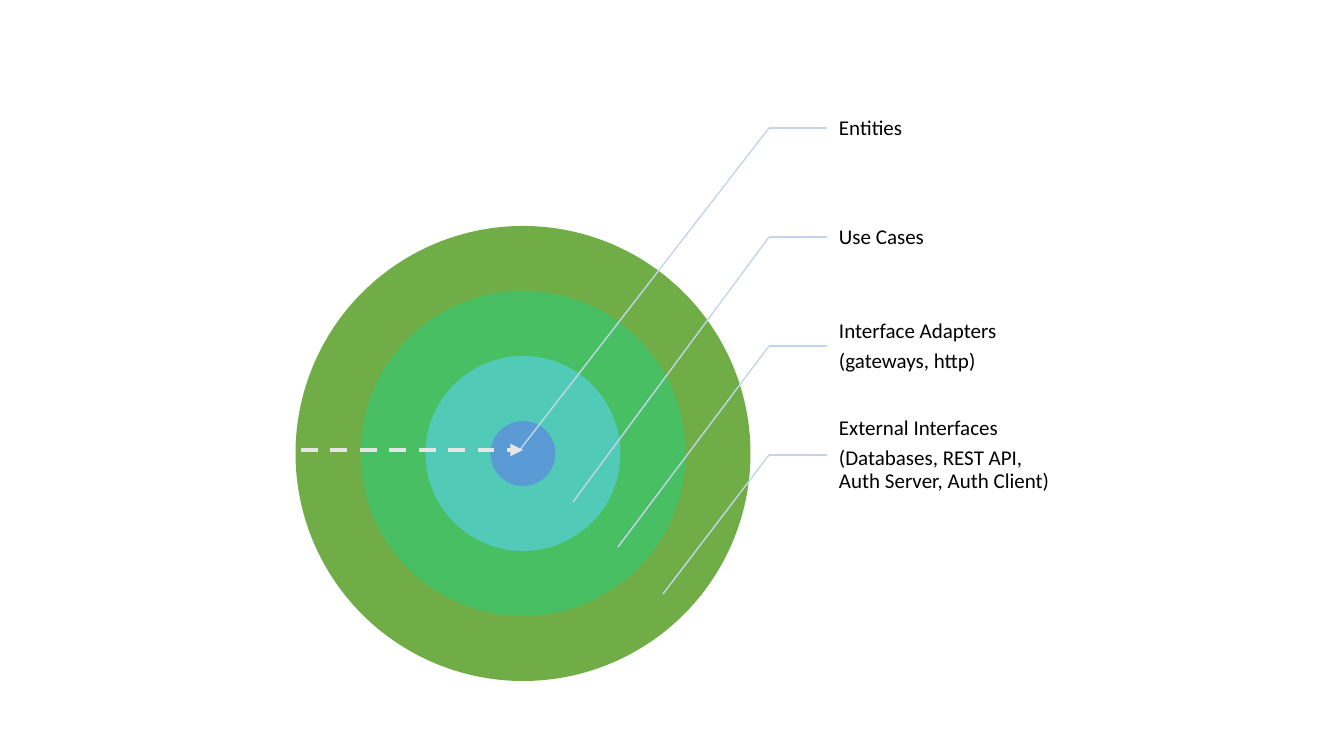
from pptx import Presentation
from pptx import util as u
from pptx.dml.color import RGBColor
from pptx.enum import dml, shapes, text
from pptx.oxml.ns import qn
from lxml import etree

PX = 914400 / 100.8


def px(*vals):
    return [round(v * PX) for v in vals]


def link(x1, y1, x2, y2, color, width):
    line = slide.shapes.add_connector(
        shapes.MSO_CONNECTOR.STRAIGHT, *px(x1, y1, x2, y2))
    line.line.color.rgb = RGBColor.from_string(color)
    line.line.width = u.Pt(width)
    etree.SubElement(line._element.spPr, qn("a:effectLst"))
    return line


deck = Presentation()
deck.slide_width, deck.slide_height = u.Inches(13.333), u.Inches(7.5)
slide = deck.slides.add_slide(deck.slide_layouts[6])

mid_x, mid_y, core = 523, 453.5, 65
rings = ["70AD47", "49BF64", "52CAB8", "5B9BD5"]
for i, color in enumerate(rings):
    size = core * (7 - 2 * i)
    ring = slide.shapes.add_shape(
        shapes.MSO_SHAPE.OVAL,
        *px(mid_x - size / 2, mid_y - size / 2, size, size))
    ring.shadow.inherit = False
    ring.fill.solid()
    ring.fill.fore_color.rgb = RGBColor.from_string(color)
    ring.line.fill.background()

labels = [
    (["Entities"], 519, 451),
    (["Use Cases"], 573, 502),
    (["Interface Adapters", "(gateways, http)"], 618, 547),
    (["External Interfaces",
      "(Databases, REST API, Auth Server, Auth Client)"], 663, 594),
]
frame_style = {
    "word_wrap": True, "vertical_anchor": text.MSO_ANCHOR.MIDDLE,
    "margin_left": px(12)[0], "margin_right": px(2)[0],
    "margin_top": px(2)[0], "margin_bottom": px(2)[0],
}
para_style = {"line_spacing": 0.9, "space_after": u.Pt(5.25)}
font_style = {"name": "Calibri", "size": u.Pt(15)}
bend, left, pitch = 769, 827, 109
for i, (lines, end_x, end_y) in enumerate(labels):
    top = 74 + pitch * i
    level = 128 + pitch * i
    frame = slide.shapes.add_textbox(*px(left, top, 228, pitch)).text_frame
    frame.text = "\n".join(lines)
    for key, val in frame_style.items():
        setattr(frame, key, val)
    for para in frame.paragraphs:
        font = para.runs[0].font
        font.color.rgb = RGBColor.from_string("000000")
        for part, style in ((para, para_style), (font, font_style)):
            for key, val in style.items():
                setattr(part, key, val)
    link(bend, level, left, level, "C4D5EB", 1)
    link(bend, level, end_x, end_y, "C4D5EB", 1)

arrow = link(301, 450, 523, 450, "E7E6E6", 3)
arrow.line.dash_style = dml.MSO_LINE.DASH
etree.SubElement(arrow.line._get_or_add_ln(), qn("a:tailEnd"), type="triangle")

deck.save("out.pptx")
